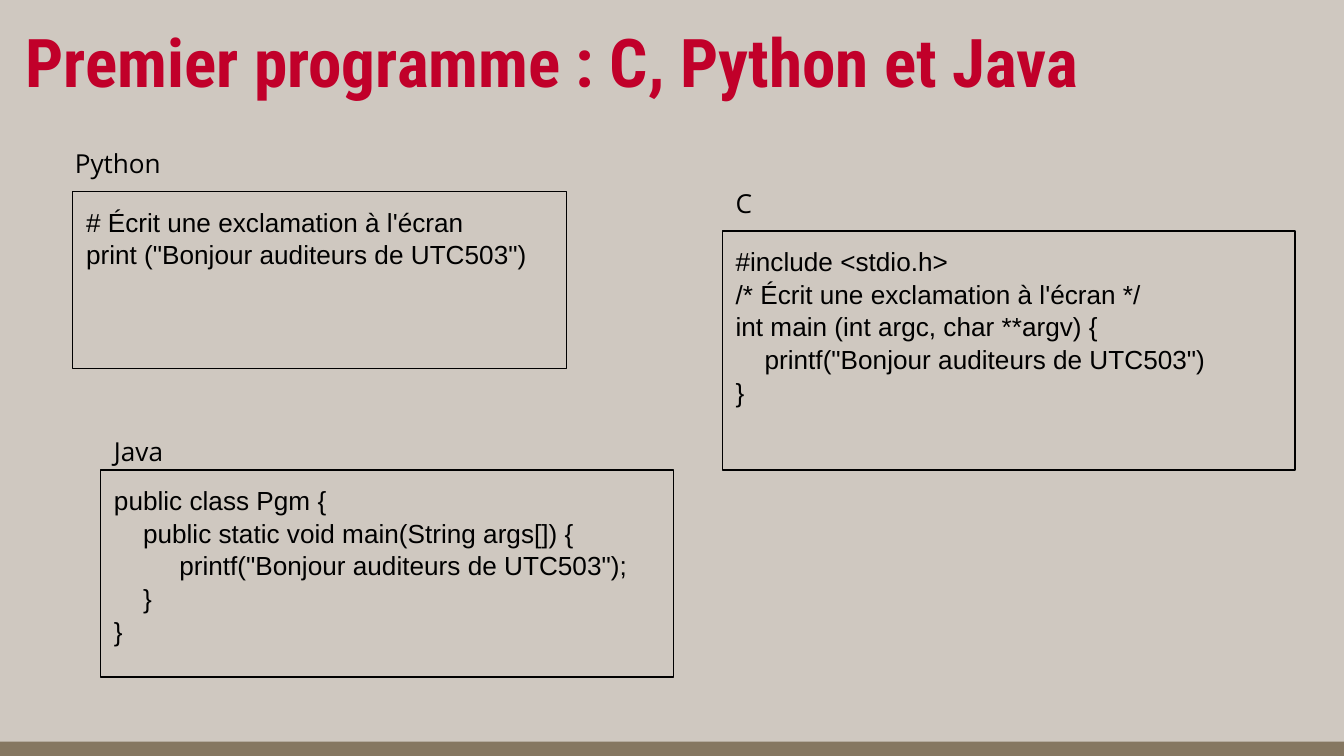
from dataclasses import dataclass

import pptx
import pptx.dml.color
import pptx.enum.shapes
import pptx.enum.text
import pptx.util

Pt = pptx.util.Pt
Color = pptx.dml.color.RGBColor


@dataclass(frozen=True)
class Theme:
    background: Color = Color.from_string("CFC8C0")
    footer: Color = Color.from_string("857761")
    title: Color = Color.from_string("C1002A")
    ink: Color = Color.from_string("000000")
    title_font: str = "Roboto Condensed"
    label_font: str = "Open Sans"
    code_font: str = "Arial"
    title_size: float = 36
    body_size: float = 14
    inset: float = 7.2
    outline: float = 0.75
    code_spacing: float = 1.04
    space_width: float = 3.89


THEME = Theme()
PAGE_WIDTH, PAGE_HEIGHT = 720, 405
FOOTER_HEIGHT = 7.6

# Each code line is (indent in character spaces, text).
PYTHON_CODE = [
    (0, "# Écrit une exclamation à l'écran"),
    (0, 'print ("Bonjour auditeurs de UTC503")'),
]
C_CODE = [
    (0, "#include <stdio.h>"),
    (0, "/* Écrit une exclamation à l'écran */"),
    (0, "int main (int argc, char **argv) {"),
    (4, 'printf("Bonjour auditeurs de UTC503")'),
    (0, "}"),
]
JAVA_CODE = [
    (0, "public class Pgm {"),
    (4, "public static void main(String args[]) {"),
    (9, 'printf("Bonjour auditeurs de UTC503");'),
    (4, "}"),
    (0, "}"),
]


def prepare_frame(shape):
    """Wrap the text, anchor it at the top and give it even insets."""
    frame = shape.text_frame
    frame.word_wrap = True
    frame.auto_size = pptx.enum.text.MSO_AUTO_SIZE.NONE
    frame.vertical_anchor = pptx.enum.text.MSO_ANCHOR.TOP
    frame.margin_left = frame.margin_right = Pt(THEME.inset)
    frame.margin_top = frame.margin_bottom = Pt(THEME.inset)
    return frame


def add_span(para, text, font, size, color, bold=False):
    para.alignment = pptx.enum.text.PP_ALIGN.LEFT
    span = para.add_run()
    span.text = text
    span.font.name = font
    span.font.size = Pt(size)
    span.font.bold = bold
    span.font.color.rgb = color


def add_rectangle(page, left, top, width, height):
    box = page.shapes.add_shape(
        pptx.enum.shapes.MSO_SHAPE.RECTANGLE,
        Pt(left), Pt(top), Pt(width), Pt(height))
    box.shadow.inherit = False
    return box


def add_footer_bar(page):
    bar = add_rectangle(page, 0, PAGE_HEIGHT - FOOTER_HEIGHT, PAGE_WIDTH, FOOTER_HEIGHT)
    bar.fill.solid()
    bar.fill.fore_color.rgb = THEME.footer
    bar.line.fill.background()


def set_title(page, text):
    title = page.shapes.title
    title.left, title.top = Pt(6.5), Pt(3.6)
    title.width, title.height = Pt(671), Pt(55.4)
    para = prepare_frame(title).paragraphs[0]
    add_span(para, text, THEME.title_font, THEME.title_size, THEME.title, bold=True)


def add_label(page, text, left, top, width, height):
    box = page.shapes.add_textbox(Pt(left), Pt(top), Pt(width), Pt(height))
    para = prepare_frame(box).paragraphs[0]
    add_span(para, text, THEME.label_font, THEME.body_size, THEME.ink)


def add_code_box(page, lines, left, top, width, height):
    box = add_rectangle(page, left, top, width, height)
    box.fill.background()
    box.line.color.rgb = THEME.ink
    box.line.width = Pt(THEME.outline)
    frame = prepare_frame(box)
    for number, (indent, text) in enumerate(lines):
        para = frame.add_paragraph() if number else frame.paragraphs[0]
        para.line_spacing = THEME.code_spacing
        if indent:
            margin = Pt(indent * THEME.space_width)
            para._p.get_or_add_pPr().set("marL", str(int(margin)))
        add_span(para, text, THEME.code_font, THEME.body_size, THEME.ink)


def main():
    deck = pptx.Presentation()
    deck.slide_width, deck.slide_height = Pt(PAGE_WIDTH), Pt(PAGE_HEIGHT)
    page = deck.slides.add_slide(deck.slide_layouts.get_by_name("Title Only"))
    page.background.fill.solid()
    page.background.fill.fore_color.rgb = THEME.background

    add_footer_bar(page)
    set_title(page, "Premier programme : C, Python et Java")
    add_code_box(page, PYTHON_CODE, 39, 102.5, 264.5, 95)
    add_label(page, "Python", 33, 72, 96.5, 31)
    add_code_box(page, C_CODE, 387, 123.8, 306.7, 128)
    add_label(page, "C", 387, 93, 138, 31)
    add_code_box(page, JAVA_CODE, 54, 251.8, 306.7, 111)
    add_label(page, "Java", 54, 226.3, 96.5, 25.5)
    deck.save("out.pptx")


if __name__ == "__main__":
    main()
